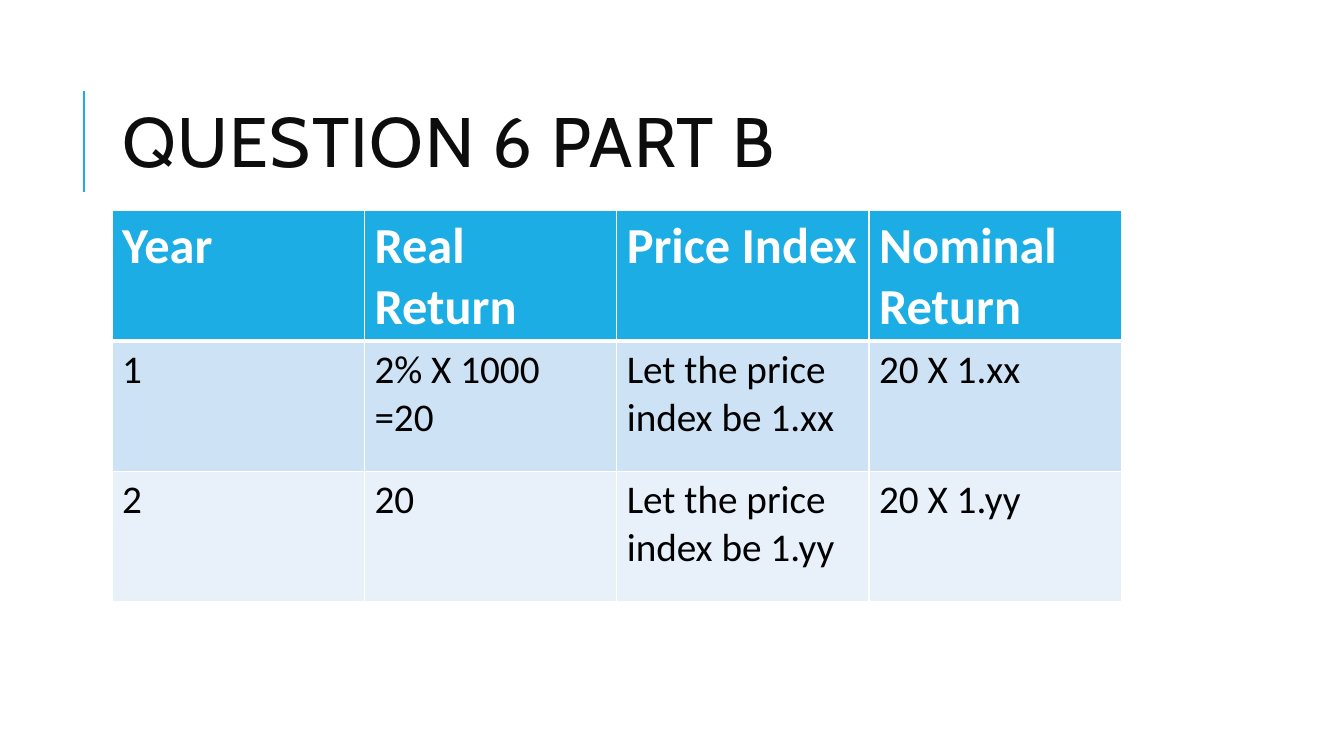
from lxml.etree import SubElement
from pptx import Presentation
from pptx.dml.color import RGBColor
from pptx.enum.shapes import MSO_CONNECTOR as Connector
from pptx.enum.text import MSO_ANCHOR as Anchor
from pptx.oxml.ns import qn
from pptx.util import Pt

# Content
TITLE = "QUESTION 6 PART B"
ROWS = [
    ["Year", "Real Return", "Price Index", "Nominal Return"],
    ["1", "2% X 1000 =20", "Let the price index be 1.xx", "20 X 1.xx"],
    ["2", "20 ", "Let the price index be 1.yy", "20 X 1.yy"],
]

# Style
ACCENT, WHITE, BLACK, INK = "1CADE4", "FFFFFF", "000000", "0D0D0D"
ROW_FILLS = [ACCENT, "CDE3F5", "E8F1FA"]
TABLE_LEFT, TABLE_TOP = 80.1, 150
COL_W, ROW_H = 180.2, 93


def rgb(code):
    return RGBColor.from_string(code)


def set_font(p, name, size, color, bold=False):
    p.font.name, p.font.size, p.font.bold = name, Pt(size), bold
    p.font.color.rgb = rgb(color)


def add_borders(cell, widths):
    tc_pr = cell._tc.get_or_add_tcPr()
    for side, width in widths.items():
        ln = SubElement(tc_pr, qn(f"a:ln{side}"), w=str(Pt(width)))
        SubElement(SubElement(ln, qn("a:solidFill")), qn("a:srgbClr"), val=WHITE)


prs = Presentation()
prs.slide_width, prs.slide_height = Pt(960), Pt(540)
s = prs.slides.add_slide(prs.slide_layouts[6])

# Accent line beside the title
line = s.shapes.add_connector(Connector.STRAIGHT, Pt(60), Pt(137), Pt(60), Pt(65))
line.line.color.rgb = rgb(ACCENT)
line.line.width = Pt(1.5)
SubElement(line._element.spPr, qn("a:effectLst"))

# Title
tf = s.shapes.add_textbox(Pt(80.6), Pt(46), Pt(765), Pt(118)).text_frame
tf.word_wrap = True
tf.vertical_anchor = Anchor.MIDDLE
p = tf.paragraphs[0]
p.line_spacing = 0.8
r = p.add_run()
r.text = TITLE
set_font(p, "Cabin", 50, INK)
r._r.get_or_add_rPr().set("spc", "100")

# Table
n_rows, n_cols = len(ROWS), len(ROWS[0])
table = s.shapes.add_table(n_rows, n_cols, Pt(TABLE_LEFT), Pt(TABLE_TOP),
                           Pt(COL_W * n_cols), Pt(ROW_H * n_rows)).table
for col in table.columns:
    col.width = Pt(COL_W)
for i, texts in enumerate(ROWS):
    table.rows[i].height = Pt(ROW_H)
    header = i == 0
    for j, text in enumerate(texts):
        cell = table.cell(i, j)
        add_borders(cell, {"L": 1, "R": 1, "T": 3 if i == 1 else 1, "B": 3 if header else 1})
        cell.fill.solid()
        cell.fill.fore_color.rgb = rgb(ROW_FILLS[i])
        cell.text = text
        set_font(cell.text_frame.paragraphs[0], "Calibri", 36 if header else 28,
                 WHITE if header else BLACK, header)

prs.save("out.pptx")
